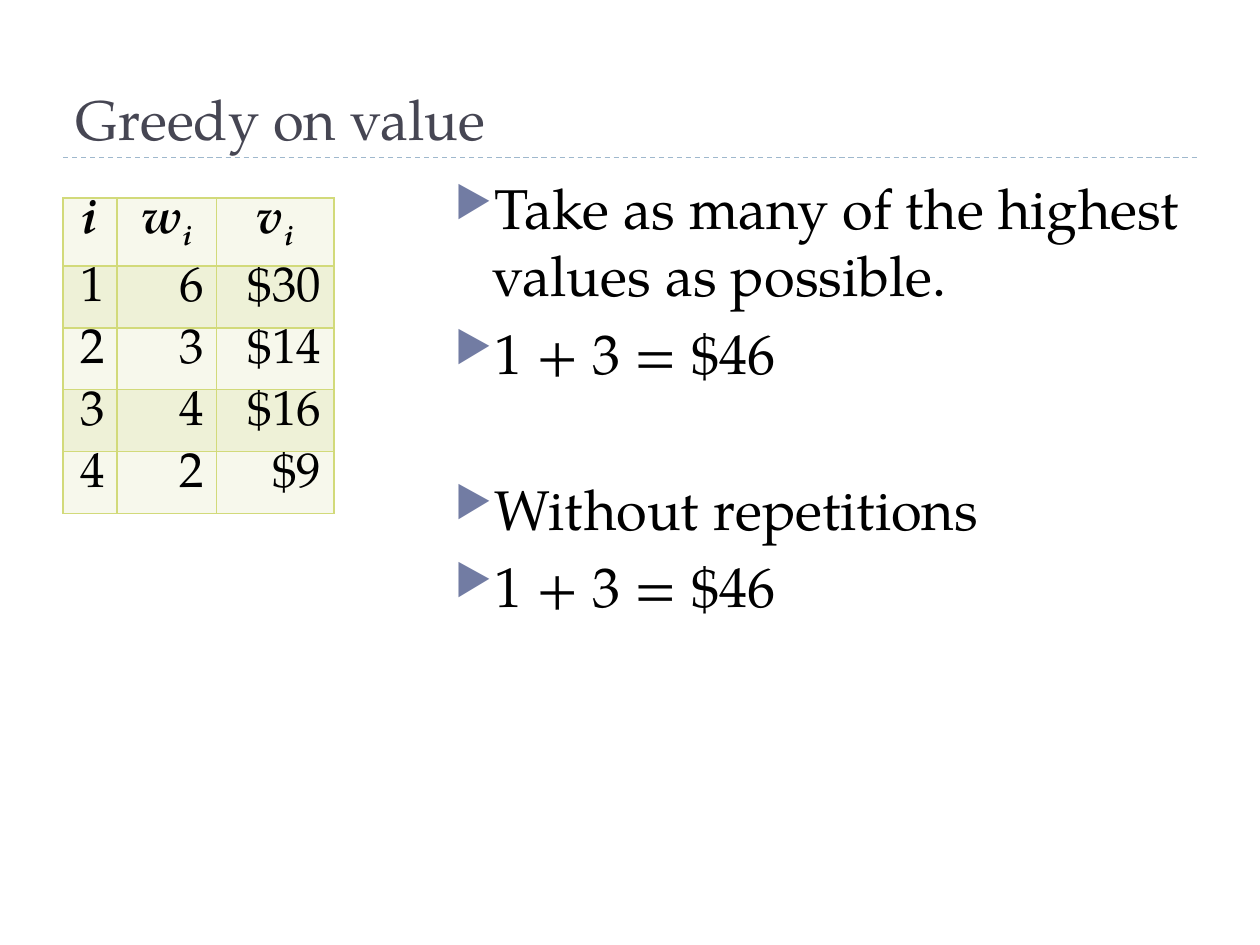
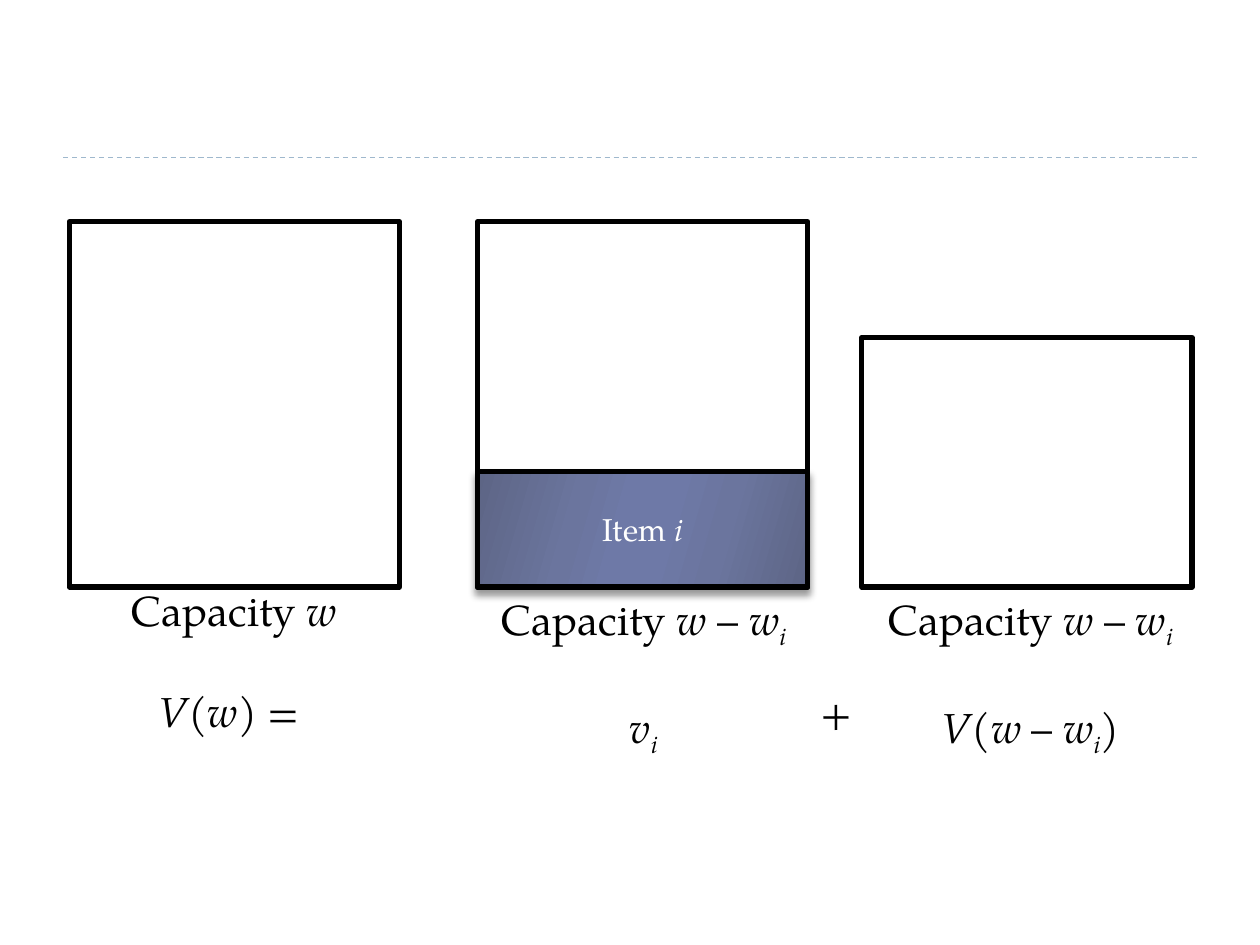
from pptx import Presentation
from pptx.dml.color import RGBColor
from pptx.enum.dml import MSO_LINE_DASH_STYLE as Dash
from pptx.enum.shapes import MSO_CONNECTOR as Connector, MSO_SHAPE as Shape
from pptx.enum.text import MSO_ANCHOR as Anchor, MSO_AUTO_SIZE as AutoSize, PP_ALIGN as Align
from pptx.oxml import parse_xml
from pptx.oxml.ns import nsdecls, qn
from pptx.util import Pt

FONT = "TeX Gyre Pagella"
COLORS = {
    "title": "464653", "text": "000000", "white": "FFFFFF", "rule": "9FB8CD",
    "bullet": "727CA3", "border": "D2DA7A", "light_row": "F7F8EC", "dark_row": "EEF1D7",
    "item_edge": "5D6585", "item_mid": "6B759E", "item_center": "6E79A7",
}


def write(paragraph, pieces, size, color="text", align=Align.LEFT):
    """Fill a paragraph with (text, style) pieces: b bold, i italic, s subscript."""
    paragraph.alignment = align
    for text, style in pieces:
        run = paragraph.add_run()
        run.text = text
        run.font.name = FONT
        run.font.size = Pt(size)
        run.font.bold = "b" in style
        run.font.italic = "i" in style
        run.font.color.rgb = RGBColor.from_string(COLORS[color])
        if "s" in style:
            run.font._element.set("baseline", "-25000")


def add_text_box(slide, left, top, width, height, wrap=True):
    text_frame = slide.shapes.add_textbox(Pt(left), Pt(top), Pt(width), Pt(height)).text_frame
    text_frame.word_wrap = wrap
    text_frame.auto_size = AutoSize.NONE if wrap else AutoSize.SHAPE_TO_FIT_TEXT
    return text_frame


presentation = Presentation()
presentation.slide_width, presentation.slide_height = Pt(720), Pt(540)
blank_layout = presentation.slide_layouts[6]
greedy_slide = presentation.slides.add_slide(blank_layout)
capacity_slide = presentation.slides.add_slide(blank_layout)

# Dashed rule under the title area of every slide
for slide in presentation.slides:
    rule = slide.shapes.add_connector(Connector.STRAIGHT, Pt(36), Pt(90), Pt(684), Pt(90))
    rule.line.color.rgb = RGBColor.from_string(COLORS["rule"])
    rule.line.width = Pt(0.75)
    rule.line.dash_style = Dash.DASH
    rule._element.spPr.append(parse_xml(f"<a:effectLst {nsdecls('a')}/>"))

# Slide 1: title
title_frame = add_text_box(greedy_slide, 36, 12, 648, 78)
title_frame.vertical_anchor = Anchor.BOTTOM
write(title_frame.paragraphs[0], [("Greedy on value", "")], 32, "title")

# Slide 1: bullets, with a wider gap before the second group
bullets = [
    ("Take as many of the highest values as possible.", 6),
    ("1 + 3 = $46", 6),
    ("Without repetitions", 50.4),
    ("1 + 3 = $46", 6),
]
body_frame = add_text_box(greedy_slide, 252.72, 95.76, 431.28, 388.8)
for index, (text, space_before) in enumerate(bullets):
    paragraph = body_frame.add_paragraph() if index else body_frame.paragraphs[0]
    write(paragraph, [(text, "")], 32)
    paragraph.space_before = Pt(space_before)
    properties = paragraph._element.get_or_add_pPr()
    properties.set("marL", str(Pt(21.6)))
    properties.set("indent", str(-Pt(21.6)))
    for bullet_xml in (
        f"<a:buClr {nsdecls('a')}><a:srgbClr val='{COLORS['bullet']}'/></a:buClr>",
        f"<a:buSzPct {nsdecls('a')} val='76000'/>",
        f"<a:buChar {nsdecls('a')} char='▶'/>",
    ):
        properties.append(parse_xml(bullet_xml))

# Slide 1: table of weights and values
header = [[("i", "bi")], [("w", "bi"), ("i", "bis")], [("v", "bi"), ("i", "bis")]]
items = [("1", "6", "$30"), ("2", "3", "$14"), ("3", "4", "$16"), ("4", "2", "$9")]
rows = [header] + [[[(value, "")] for value in item] for item in items]
table = greedy_slide.shapes.add_table(
    len(rows), 3, Pt(36), Pt(113.04), Pt(154.8), Pt(180.5)).table
table.first_row = table.horz_banding = False
for column, width in zip(table.columns, (30.96, 56.88, 66.96)):
    column.width = Pt(width)
for row_index, row in enumerate(rows):
    table.rows[row_index].height = Pt(35.4 if row_index else 38.9)
    for column_index, pieces in enumerate(row):
        cell = table.cell(row_index, column_index)
        cell.margin_top = cell.margin_bottom = 0
        write(cell.text_frame.paragraphs[0], pieces, 28,
              align=Align.RIGHT if row_index else Align.CENTER)
        cell.fill.solid()
        cell.fill.fore_color.rgb = RGBColor.from_string(
            COLORS["dark_row" if row_index % 2 else "light_row"])
        for position, side in enumerate(("lnL", "lnR", "lnT", "lnB")):
            cell._tc.get_or_add_tcPr().insert(position, parse_xml(
                f"<a:{side} {nsdecls('a')} w='{Pt(1)}'><a:solidFill>"
                f"<a:srgbClr val='{COLORS['border']}'/></a:solidFill></a:{side}>"))

# Slide 2: knapsacks standing on one baseline, the item at the bottom of the second
BASELINE, KNAPSACK_WIDTH = 335.5, 188.64
for left, height, holds_item in (
    (39.6, 208.8, False), (272.88, 208.8, False), (272.88, 66.24, True), (492.48, 142.56, False),
):
    box = capacity_slide.shapes.add_shape(
        Shape.RECTANGLE, Pt(left), Pt(BASELINE - height), Pt(KNAPSACK_WIDTH), Pt(height))
    box.line.color.rgb = RGBColor.from_string(COLORS["text"])
    box.line.width = Pt(3)
    box.shadow.inherit = False
    if not holds_item:
        box.fill.background()
        continue
    box.fill.gradient()
    gradient = box._element.spPr.find(qn("a:gradFill"))
    stops = gradient.find(qn("a:gsLst"))
    stops.clear()
    for position, color in ((0, "item_edge"), (30, "item_mid"), (45, "item_center"),
                            (55, "item_center"), (73, "item_mid"), (100, "item_edge")):
        stops.append(parse_xml(f"<a:gs {nsdecls('a')} pos='{position * 1000}'>"
                               f"<a:srgbClr val='{COLORS[color]}'/></a:gs>"))
    gradient.find(qn("a:lin")).set("ang", str(16 * 60000))
    box._element.spPr.find(qn("a:effectLst")).append(parse_xml(
        f"<a:outerShdw {nsdecls('a')} blurRad='{Pt(4)}' dist='{Pt(3.4)}' dir='5400000' "
        f"rotWithShape='0'><a:srgbClr val='{COLORS['text']}'>"
        "<a:alpha val='40000'/></a:srgbClr></a:outerShdw>"))
    box.text_frame.vertical_anchor = Anchor.MIDDLE
    write(box.text_frame.paragraphs[0], [("Item ", ""), ("i", "i")], 18, "white", Align.CENTER)

# Slide 2: capacity captions with the value term below each
remaining = [("w", "i"), (" – ", ""), ("w", "i"), ("i", "is")]
captions = [
    (65.52, 330.48, 136.8, 94.32, [("w", "i")],
     [("V", "i"), ("(", ""), ("w", "i"), (") = ", "")]),
    (276.48, 335.52, 182.88, 84.96, remaining, [("v", "i"), ("i", "is")]),
    (497.52, 335.52, 182.88, 84.96, remaining, [("V", "i"), ("(", ""), *remaining, (")", "")]),
]
for left, top, width, height, capacity, value_term in captions:
    caption_frame = add_text_box(capacity_slide, left, top, width, height, wrap=False)
    write(caption_frame.paragraphs[0], [("Capacity ", ""), *capacity], 24, align=Align.CENTER)
    value_paragraph = caption_frame.add_paragraph()
    value_paragraph.space_before = Pt(28.8)
    write(value_paragraph, value_term, 24, align=Align.CENTER)

plus_frame = add_text_box(capacity_slide, 461.52, 388.8, 29.52, 36, wrap=False)
write(plus_frame.paragraphs[0], [("+", "")], 24)

presentation.save("out.pptx")
